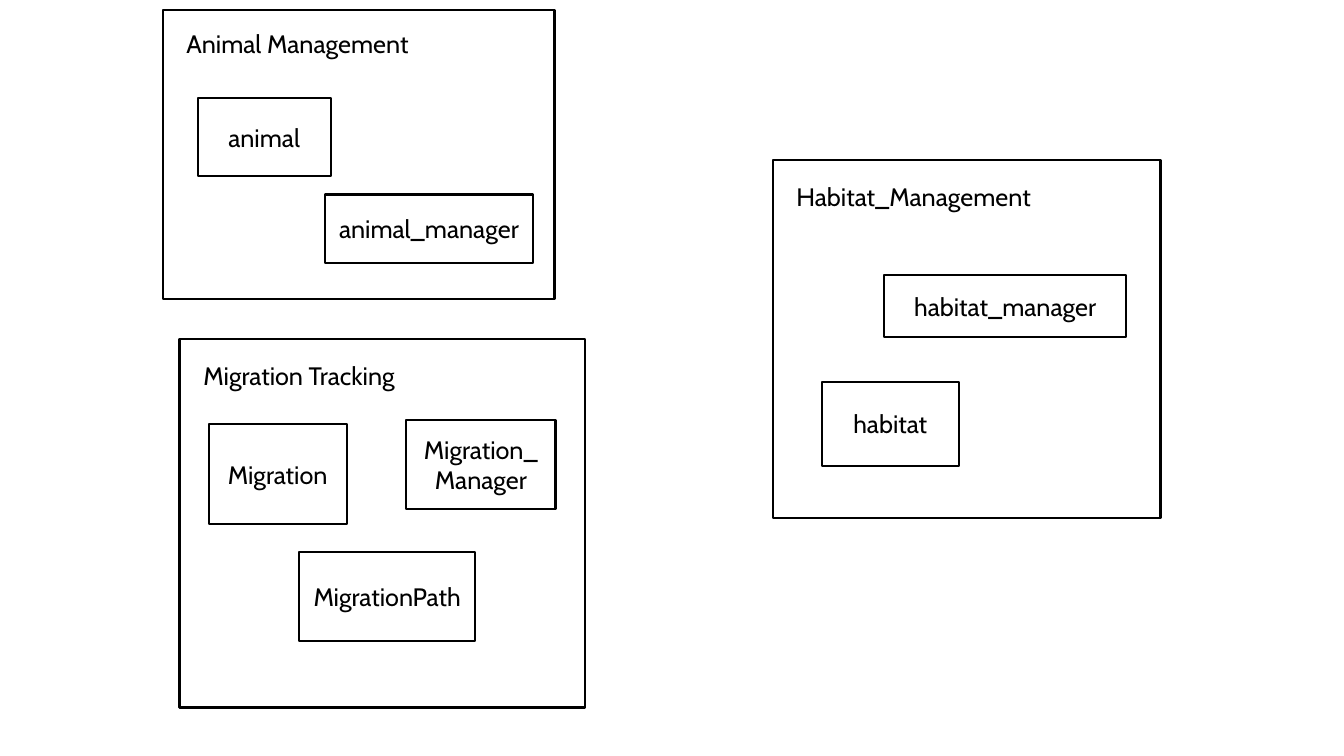
"""Build a slide of three module panels, each holding its classes."""
import dataclasses

import pptx
import pptx.dml.color
import pptx.enum.shapes
import pptx.enum.text
import pptx.util

COLUMNS, ROWS = 1333, 750
CELL = pptx.util.Inches(0.01)
HEADING_ROWS = 40

PANELS = [
    {
        "area": (162, 10, 388, 287),
        "heading": ("Animal Management", 13, 13, 266, True),
        "members": [
            ("animal", 34, 87, 132, 78),
            ("animal_manager", 160, 183, 207, 68),
        ],
    },
    {
        "area": (178, 336, 402, 366),
        "heading": ("Migration Tracking", 14, 17, 216, False),
        "members": [
            ("Migration", 29, 85, 137, 99),
            ("Migration_Manager", 225, 81, 148, 88),
            ("MigrationPath", 119, 212, 174, 88),
        ],
    },
    {
        "area": (767, 159, 384, 355),
        "heading": ("Habitat_Management", 13, 16, 256, False),
        "members": [
            ("habitat", 48, 220, 136, 83),
            ("habitat_manager", 110, 114, 240, 61),
        ],
    },
]


@dataclasses.dataclass(frozen=True)
class Theme:
    ink: pptx.dml.color.RGBColor = pptx.dml.color.RGBColor(0, 0, 0)
    font: str = "Cabin"
    text_size: pptx.util.Pt = pptx.util.Pt(18)
    outline: pptx.util.Pt = pptx.util.Pt(1.5)


THEME = Theme()


def cells(*counts):
    return [count * CELL for count in counts]


def write(shape, text, alignment):
    paragraph = shape.text_frame.paragraphs[0]
    paragraph.alignment = alignment
    run = paragraph.add_run()
    run.text = text
    run.font.name = THEME.font
    run.font.size = THEME.text_size
    run.font.color.rgb = THEME.ink


def add_box(group, area):
    shape = group.shapes.add_shape(
        pptx.enum.shapes.MSO_SHAPE.RECTANGLE, *cells(*area)
    )
    shape.shadow.inherit = False
    shape.fill.background()
    shape.line.color.rgb = THEME.ink
    shape.line.width = THEME.outline
    return shape


def add_heading(group, area, text, wraps):
    heading = group.shapes.add_textbox(*cells(*area))
    heading.text_frame.word_wrap = wraps
    heading.text_frame.auto_size = pptx.enum.text.MSO_AUTO_SIZE.SHAPE_TO_FIT_TEXT
    write(heading, text, pptx.enum.text.PP_ALIGN.LEFT)


def add_member(group, area, text):
    member = add_box(group, area)
    member.text_frame.word_wrap = True
    member.text_frame.vertical_anchor = pptx.enum.text.MSO_ANCHOR.MIDDLE
    write(member, text, pptx.enum.text.PP_ALIGN.CENTER)


def add_panel(slide, panel):
    group = slide.shapes.add_group_shape()
    left, top = panel["area"][:2]
    add_box(group, panel["area"])
    text, column, row, width, wraps = panel["heading"]
    add_heading(group, (left + column, top + row, width, HEADING_ROWS), text, wraps)
    for text, column, row, width, height in panel["members"]:
        add_member(group, (left + column, top + row, width, height), text)


def main():
    presentation = pptx.Presentation()
    presentation.slide_width, presentation.slide_height = cells(COLUMNS, ROWS)
    slide = presentation.slides.add_slide(presentation.slide_layouts[6])
    for panel in PANELS:
        add_panel(slide, panel)
    presentation.save("out.pptx")


if __name__ == "__main__":
    main()
